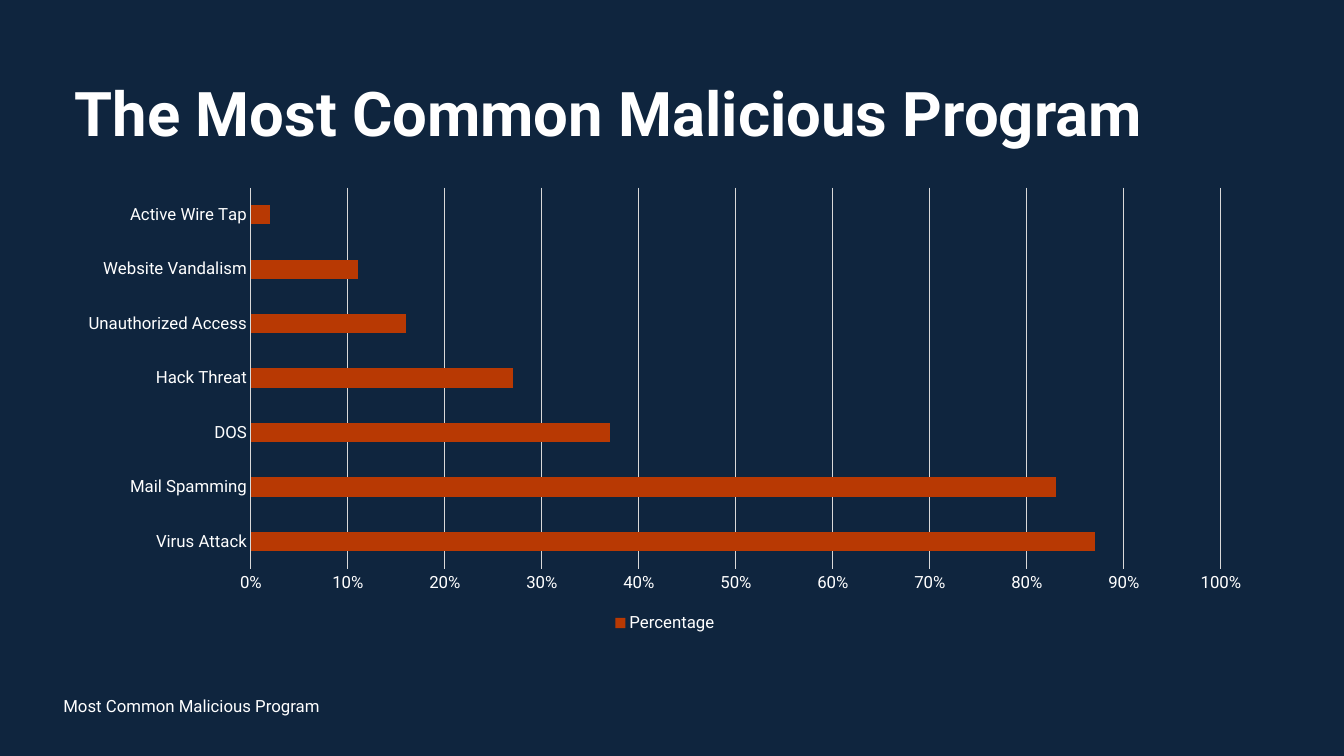
from pptx import Presentation
from pptx.chart.data import CategoryChartData
from pptx.dml.color import RGBColor
from pptx.enum.chart import XL_CHART_TYPE, XL_LEGEND_POSITION, XL_TICK_MARK
from pptx.enum.text import MSO_ANCHOR
from pptx.util import Inches, Pt

TITLE = "The Most Common Malicious Program"
FOOTER = "Most Common Malicious Program"
SERIES_NAME = "Percentage"
ATTACKS = {
    "Virus Attack": 0.87,
    "Mail Spamming": 0.83,
    "DOS": 0.37,
    "Hack Threat": 0.27,
    "Unauthorized Access": 0.16,
    "Website Vandalism": 0.11,
    "Active Wire Tap": 0.02,
}

NAVY = RGBColor(0x0F, 0x25, 0x3E)
WHITE = RGBColor(0xFF, 0xFF, 0xFF)
GRID_GREY = RGBColor(0xD9, 0xD9, 0xD9)
RUST = RGBColor(0xB8, 0x39, 0x03)
FONT = "Roboto"

WIDTH, HEIGHT = 13.33, 7.5
MARGIN = 0.64
TITLE_TOP, TITLE_HEIGHT = 0.55, 1.22
CHART_TOP = TITLE_TOP + TITLE_HEIGHT
CHART_WIDTH, CHART_HEIGHT = 11.91, 4.55


def style_font(font, size=12, bold=False):
    font.name = FONT
    font.size = Pt(size)
    font.bold = bold
    font.color.rgb = WHITE


def add_text(slide, text, box, size=12, bold=False, line_spacing=1.0):
    shape = slide.shapes.add_textbox(*map(Inches, box))
    frame = shape.text_frame
    frame.word_wrap = True
    frame.vertical_anchor = MSO_ANCHOR.MIDDLE
    paragraph = frame.paragraphs[0]
    paragraph.line_spacing = line_spacing
    run = paragraph.add_run()
    run.text = text
    style_font(run.font, size, bold)


def style_line(line):
    line.color.rgb = GRID_GREY
    line.width = Pt(0.75)


def add_attack_chart(slide, box):
    data = CategoryChartData(number_format="0%")
    data.categories = list(ATTACKS)
    data.add_series(SERIES_NAME, list(ATTACKS.values()))
    chart = slide.shapes.add_chart(
        XL_CHART_TYPE.BAR_CLUSTERED, *map(Inches, box), data).chart
    chart.has_title = False
    style_font(chart.font, size=10)

    chart.has_legend = True
    chart.legend.position = XL_LEGEND_POSITION.BOTTOM
    chart.legend.include_in_layout = False
    style_font(chart.legend.font)

    for axis in (chart.category_axis, chart.value_axis):
        axis.major_tick_mark = axis.minor_tick_mark = XL_TICK_MARK.NONE
        style_font(axis.tick_labels.font)
    style_line(chart.category_axis.format.line)

    values = chart.value_axis
    values.minimum_scale, values.maximum_scale, values.major_unit = 0, 1, 0.1
    values.tick_labels.number_format = "0%"
    values.tick_labels.number_format_is_linked = False
    values.format.line.fill.background()
    values.has_major_gridlines = True
    style_line(values.major_gridlines.format.line)

    plot = chart.plots[0]
    plot.gap_width = 182
    plot.vary_by_categories = False
    bars = plot.series[0].format.fill
    bars.solid()
    bars.fore_color.rgb = RUST


def main():
    presentation = Presentation()
    presentation.slide_width = Inches(WIDTH)
    presentation.slide_height = Inches(HEIGHT)
    slide = presentation.slides.add_slide(presentation.slide_layouts[6])
    slide.background.fill.solid()
    slide.background.fill.fore_color.rgb = NAVY

    add_text(slide, TITLE, (MARGIN, TITLE_TOP, 11.5, TITLE_HEIGHT),
             size=44, bold=True, line_spacing=0.9)
    add_attack_chart(slide, (MARGIN, CHART_TOP, CHART_WIDTH, CHART_HEIGHT))
    add_text(slide, FOOTER, (0.53, 6.8, 4.5, 0.4))
    presentation.save("out.pptx")


if __name__ == "__main__":
    main()
